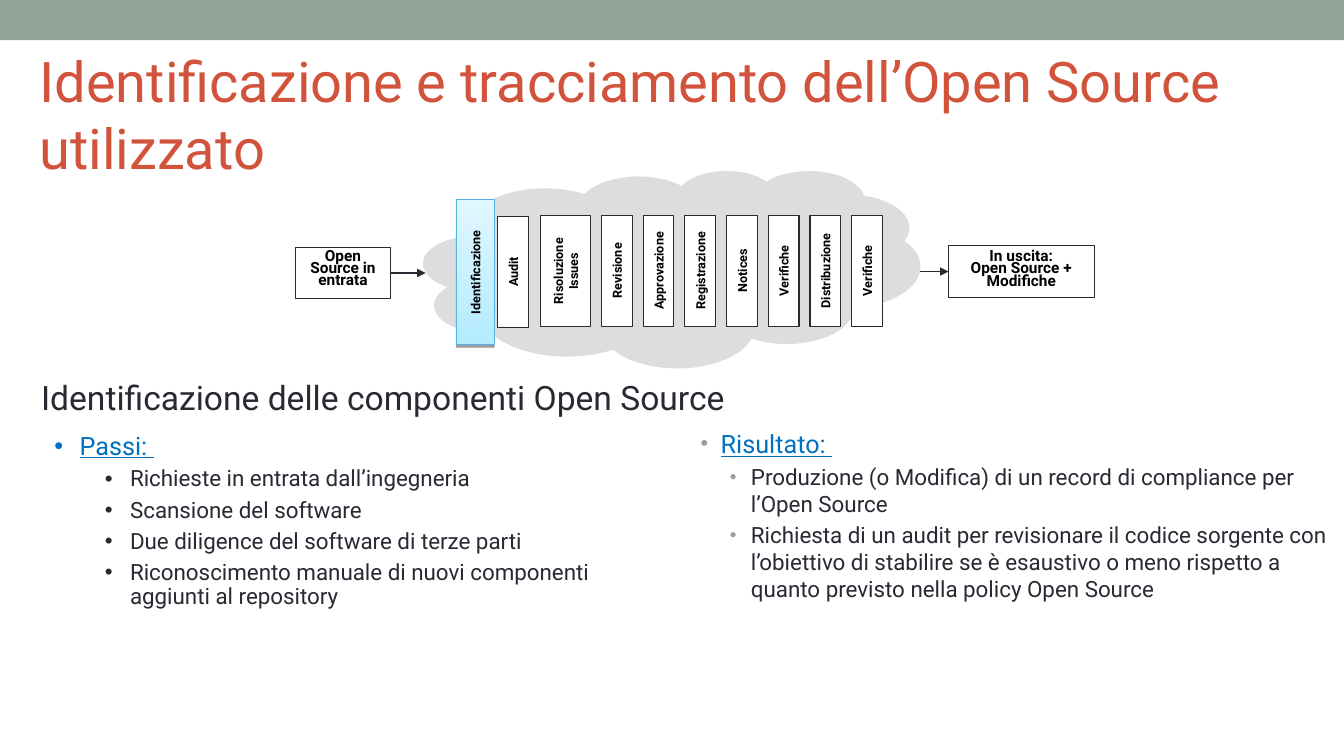
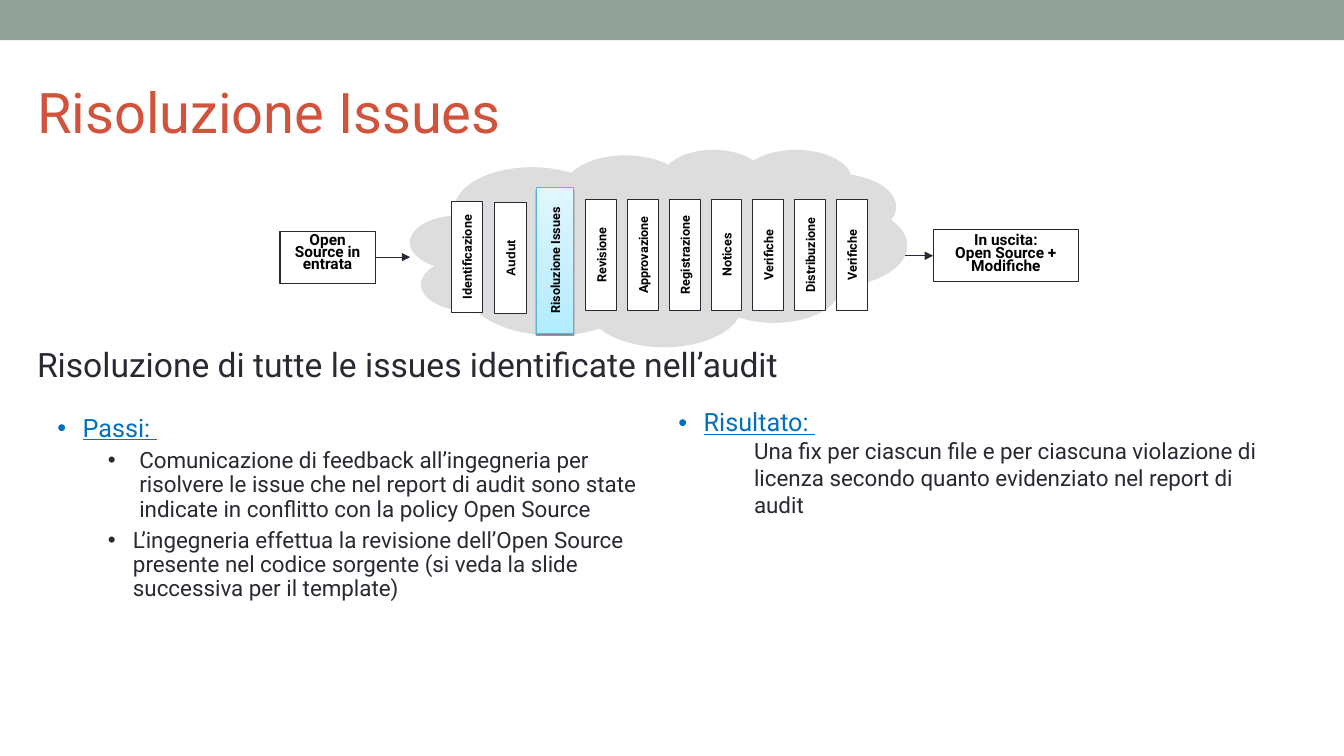
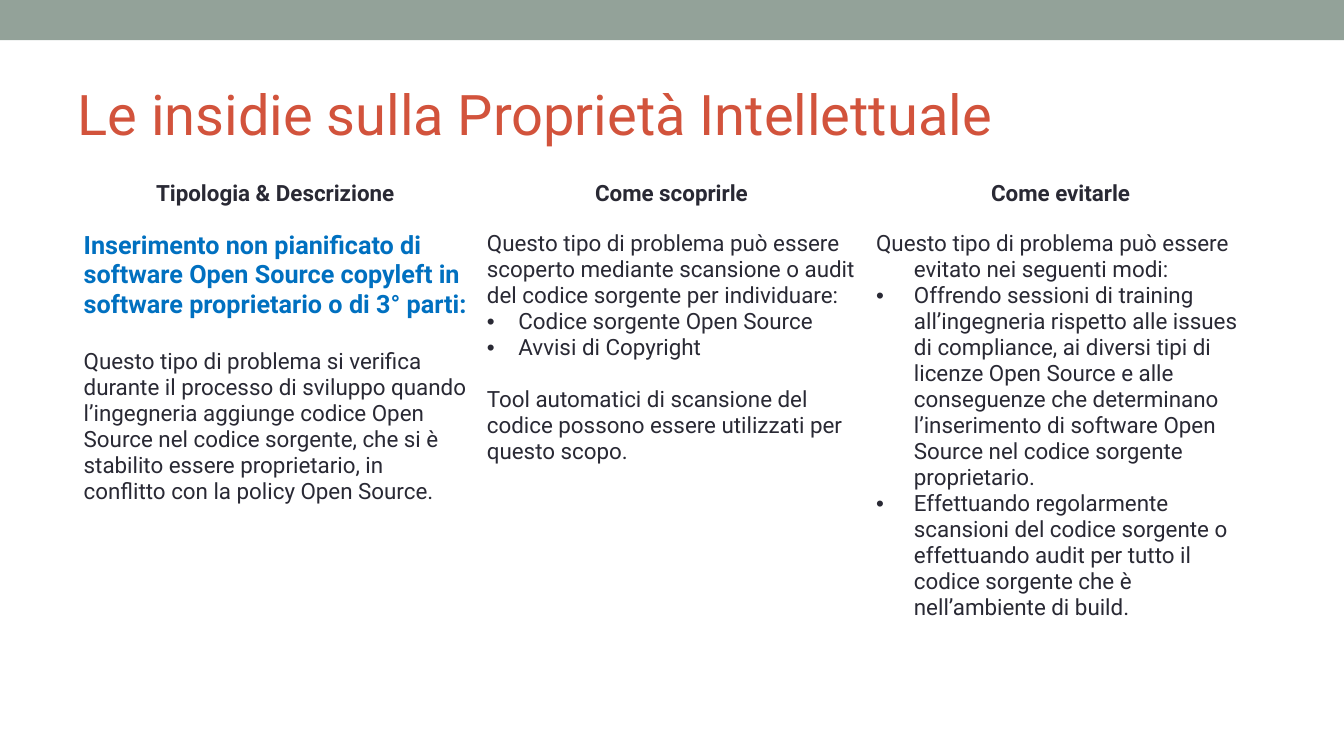
from lxml.etree import SubElement
from pptx import Presentation
from pptx.dml.color import RGBColor
from pptx.enum.shapes import MSO_CONNECTOR, MSO_SHAPE
from pptx.enum.text import MSO_ANCHOR, MSO_AUTO_SIZE, PP_ALIGN
from pptx.oxml.ns import qn
from pptx.util import Pt

COLORS = {
    "band": "93A299", "title": "D2533C", "ink": "292934", "accent": "0070C0",
    "black": "000000", "white": "FFFFFF", "cloud": "DDDDDD",
    "glow_dark": "B4EBFF", "glow_light": "E0F7FF", "glow_line": "55B4E5",
}
RGB = {name: RGBColor.from_string(value) for name, value in COLORS.items()}

LEFT = {"alignment": PP_ALIGN.LEFT, "space_before": Pt(0)}
CENTER = {"alignment": PP_ALIGN.CENTER}
TIGHT = {"space_before": Pt(0), "line_spacing": 0.9}
ITEM = {"level": 1, "space_before": Pt(5), "line_spacing": 0.9}
STYLES = {
    "title": {"size": 40, "color": "title", "para": LEFT},
    "subtitle": {"size": 24},
    "heading": {"size": 18, "color": "accent", "underline": True, "para": TIGHT,
                "indent": (18, -18), "bullet": ("accent", 100)},
    "item": {"para": ITEM, "indent": (54, -18), "bullet": ("ink", 100)},
    "wide item": {"para": ITEM, "indent": (58.5, -22.5), "bullet": ("ink", 100)},
    "plain item": {"para": LEFT, "indent": (54, 0)},
    "grey heading": {"size": 18, "color": "accent", "underline": True, "para": LEFT,
                     "indent": (14.4, -14.4), "bullet": ("band", 85)},
    "grey item": {"para": {"level": 1, "space_before": Pt(3.2)},
                  "indent": (36, -15), "bullet": ("band", 85)},
    "step": {"size": 9, "color": "black", "bold": True, "para": CENTER},
    "arial step": {"size": 9, "color": "black", "bold": True, "para": CENTER, "name": "Arial"},
    "input": {"size": 11, "color": "black", "bold": True,
              "para": {**CENTER, "line_spacing": 0.65}},
    "output": {"size": 11, "color": "black", "bold": True,
               "para": {**CENTER, "line_spacing": 0.7}},
    "column": {"bold": True, "para": CENTER},
    "risk": {"size": 18, "color": "accent", "bold": True},
    "text": {},
    "text after risk": {"para": {"space_before": Pt(21)}},
    "text after list": {"para": {"space_before": Pt(18.75)}},
    "hanging text": {"indent": (27, -27)},
    "near bullet": {"indent": (22.5, -22.5), "bullet": ("ink", 100)},
    "far bullet": {"indent": (27, -27), "bullet": ("ink", 100)},
}


def write(frame, lines, anchor=MSO_ANCHOR.TOP):
    frame.word_wrap = True
    frame.auto_size = MSO_AUTO_SIZE.NONE
    frame.vertical_anchor = anchor
    for number, (text, style_name) in enumerate(lines):
        style = STYLES[style_name]
        para = frame.add_paragraph() if number else frame.paragraphs[0]
        for name, value in style.get("para", {}).items():
            setattr(para, name, value)
        span = para.add_run()
        span.text = text
        properties = para._p.get_or_add_pPr()
        if "indent" in style:
            for name, value in zip(("marL", "indent"), style["indent"]):
                properties.set(name, str(int(Pt(value))))
            if "bullet" in style:
                color, percent = style["bullet"]
                holder = SubElement(properties, qn("a:buClr"))
                SubElement(holder, qn("a:srgbClr"), val=COLORS[color])
                SubElement(properties, qn("a:buSzPct"), val=str(percent * 1000))
                SubElement(properties, qn("a:buFont"), typeface="Arial")
                SubElement(properties, qn("a:buChar"), char="•")
            else:
                SubElement(properties, qn("a:buNone"))
        font = {"name": "Roboto", "size": 16, "bold": False, "underline": False}
        font.update({name: style[name] for name in font if name in style})
        font["size"] = Pt(font["size"])
        for name, value in font.items():
            setattr(span.font, name, value)
        span.font.color.rgb = RGB[style.get("color", "ink")]


def add_box(page, kind, place, fill=None, line=None):
    box = page.shapes.add_shape(kind, *map(Pt, place))
    box.shadow.inherit = False
    if fill:
        box.fill.solid()
        box.fill.fore_color.rgb = RGB[fill]
    else:
        box.fill.background()
    if line:
        box.line.color.rgb = RGB[line]
        box.line.width = Pt(0.75)
    else:
        box.line.fill.background()
    return box


LATER_STEPS = ["Revisione", "Approvazione", "Registrazione", "Notices",
               "Verifiche", "Distribuzione", "Verifiche"]
STEP_PITCH = 29.8
STEP_LENGTH = 79
PANEL_LENGTH = 104

PROCESS_PAGES = [
    {
        "title": "Identificazione e tracciamento dell’Open Source utilizzato",
        "title_place": (21, 42, 864, 78),
        "subtitle": "Identificazione delle componenti Open Source",
        "subtitle_place": (22.3, 265.7, 596, 38),
        "shift": (0, 0),
        "cloud": (302.4, 121.7),
        "highlight": "Identificazione",
        "steps": [("Identificazione", 339.5, 194.4, 27, "step"),
                  ("Audit", 366.5, 194.2, 22, "step"),
                  ("Risoluzione Issues", 404, 193.7, 36, "step")],
        "lists": [
            ((31.7, 306, 433.4, 206), [
                ("Passi: ", "heading"),
                ("Richieste in entrata dall’ingegneria", "item"),
                ("Scansione del software", "item"),
                ("Due diligence del software di terze parti", "item"),
                ("Riconoscimento manuale di nuovi componenti aggiunti al repository", "item")]),
            ((493.2, 302.4, 466.6, 181.4), [
                ("Risultato: ", "grey heading"),
                ("Produzione (o Modifica) di un record di compliance per l’Open Source", "grey item"),
                ("Richiesta di un audit per revisionare il codice sorgente con l’obiettivo di "
                 "stabilire se è esaustivo o meno rispetto a quanto previsto nella policy "
                 "Open Source", "grey item")]),
        ],
    },
    {
        "title": "Risoluzione Issues",
        "title_place": (19.4, 40.3, 864, 78),
        "subtitle": "Risoluzione di tutte le issues identificate nell’audit",
        "subtitle_place": (19.4, 242, 703, 36),
        "shift": (-11, -11.3),
        "cloud": (293, 106.6),
        "highlight": "Risoluzione Issues",
        "steps": [("Identificazione", 333.5, 183.6, 22, "step"),
                  ("Audut", 364.5, 184.3, 23, "arial step"),
                  ("Risoluzione Issues", 396.5, 186, 27, "step")],
        "lists": [
            ((33.8, 293, 435.6, 206), [
                ("Passi: ", "heading"),
                ("Comunicazione di feedback all’ingegneria per risolvere le issue che nel report "
                 "di audit sono state indicate in conflitto con la policy Open Source", "wide item"),
                ("L’ingegneria effettua la revisione dell’Open Source presente nel codice sorgente "
                 "(si veda la slide successiva per il template)", "item")]),
            ((477.4, 289.4, 433.4, 181.4), [
                ("Risultato: ", "heading"),
                ("Una fix per ciascun file e per ciascuna violazione di licenza secondo quanto "
                 "evidenziato nel report di audit", "plain item")]),
        ],
    },
]

PITFALLS_TITLE = "Le insidie sulla Proprietà Intellettuale"
PITFALLS = [
    (288, "Tipologia & Descrizione", [
        ("Inserimento non pianificato di software Open Source copyleft in software "
         "proprietario o di 3° parti:", "risk"),
        ("Questo tipo di problema si verifica durante il processo di sviluppo quando "
         "l’ingegneria aggiunge codice Open Source nel codice sorgente, che si è stabilito "
         "essere proprietario, in conflitto con la policy Open Source.", "text after risk")]),
    (278, "Come scoprirle", [
        ("Questo tipo di problema può essere scoperto mediante scansione o audit del codice "
         "sorgente per individuare:", "text"),
        ("Codice sorgente Open Source", "near bullet"),
        ("Avvisi di Copyright", "near bullet"),
        ("Tool automatici di scansione del codice possono essere utilizzati per questo scopo.",
         "text after list")]),
    (278, "Come evitarle", [
        ("Questo tipo di problema può essere evitato nei seguenti modi:", "hanging text"),
        ("Offrendo sessioni di training all’ingegneria rispetto alle issues di compliance, ai "
         "diversi tipi di licenze Open Source e alle conseguenze che determinano l’inserimento "
         "di software Open Source nel codice sorgente proprietario.", "far bullet"),
        ("Effettuando regolarmente scansioni del codice sorgente o effettuando audit per tutto "
         "il codice sorgente che è nell’ambiente di build.", "far bullet")]),
]

deck = Presentation()
deck.slide_width, deck.slide_height = Pt(960), Pt(540)
two_lists, title_only = deck.slide_layouts[3], deck.slide_layouts[5]

for content in PROCESS_PAGES:
    page = deck.slides.add_slide(two_lists)
    filled = [(content["title_place"], [(content["title"], "title")])] + content["lists"]
    for holder, (place, lines) in zip(page.placeholders, filled):
        holder.left, holder.top, holder.width, holder.height = map(Pt, place)
        anchor = MSO_ANCHOR.MIDDLE if holder == page.shapes.title else MSO_ANCHOR.TOP
        write(holder.text_frame, lines, anchor)

    subtitle = page.shapes.add_textbox(*map(Pt, content["subtitle_place"]))
    write(subtitle.text_frame, [(content["subtitle"], "subtitle")])

    cloud = add_box(page, MSO_SHAPE.CLOUD_CALLOUT, (*content["cloud"], 355, 141), "cloud")
    cloud.adjustments[0], cloud.adjustments[1] = -0.246, 0.157

    right, down = content["shift"]
    later = [(label, 440.6 + right + STEP_PITCH * number, 193.4 + down, 22, "step")
             for number, label in enumerate(LATER_STEPS)]
    for label, center_x, center_y, thickness, style_name in content["steps"] + later:
        highlighted = label == content["highlight"]
        length = PANEL_LENGTH if highlighted else STEP_LENGTH
        if highlighted:
            panel = add_box(page, MSO_SHAPE.RECTANGLE,
                            (center_x - thickness / 2, center_y - length / 2, thickness, length),
                            "glow_dark", "glow_line")
            panel.fill.gradient()
            panel.fill.gradient_angle = 90
            for stop, color in zip(panel.fill.gradient_stops, ("glow_dark", "glow_light")):
                stop.color.rgb = RGB[color]
            effects = panel.element.spPr.find(qn("a:effectLst"))
            shade = SubElement(effects, qn("a:outerShdw"), dist=str(int(Pt(1.6))),
                               dir="5400000", rotWithShape="0")
            tone = SubElement(shade, qn("a:srgbClr"), val=COLORS["black"])
            SubElement(tone, qn("a:alpha"), val="38000")
        step = add_box(page, MSO_SHAPE.RECTANGLE,
                       (center_x - length / 2, center_y - thickness / 2, length, thickness),
                       None if highlighted else "white", None if highlighted else "ink")
        step.rotation = 270
        write(step.text_frame, [(label, style_name)], MSO_ANCHOR.MIDDLE)

    source = add_box(page, MSO_SHAPE.RECTANGLE, (211 + right, 176.5 + down, 68, 37),
                     "white", "ink")
    write(source.text_frame, [("Open", "input"), ("Source in entrata", "input")])
    result = add_box(page, MSO_SHAPE.RECTANGLE, (677.5 + right, 175.5 + down, 104, 37),
                     "white", "ink")
    write(result.text_frame, [("In uscita:", "output"), ("Open Source + Modifiche", "output")])

    for start, end, height in ((279, 304, 195), (657.5, 677.5, 194)):
        arrow = page.shapes.add_connector(
            MSO_CONNECTOR.STRAIGHT, Pt(start + right), Pt(height + down),
            Pt(end + right), Pt(height + down))
        if start == 279:
            arrow.begin_connect(source, 3)
        else:
            arrow.end_connect(result, 1)
        arrow.line.color.rgb = RGB["ink"]
        arrow.line.width = Pt(0.75)
        outline = arrow.element.spPr.find(qn("a:ln"))
        SubElement(outline, qn("a:tailEnd"), type="triangle")
        SubElement(arrow.element.spPr, qn("a:effectLst"))

page = deck.slides.add_slide(title_only)
title = page.shapes.title
title.left, title.top, title.width, title.height = map(Pt, (48.2, 42, 864, 78))
write(title.text_frame, [(PITFALLS_TITLE, "title")], MSO_ANCHOR.MIDDLE)

table = page.shapes.add_table(2, 3, Pt(52.6), Pt(125.3), Pt(844), Pt(366.5)).table
table.first_row = table.horz_banding = False
table.rows[0].height, table.rows[1].height = Pt(36), Pt(330.5)
for number, (width, heading, lines) in enumerate(PITFALLS):
    table.columns[number].width = Pt(width)
    for row, cell_lines in enumerate(([(heading, "column")], lines)):
        cell = table.cell(row, number)
        cell.fill.solid()
        cell.fill.fore_color.rgb = RGB["white"]
        write(cell.text_frame, cell_lines)

band = add_box(page, MSO_SHAPE.RECTANGLE, (0, 0, 960, 28.8), "band")
deck.slide_master.shapes.element.insert(2, band.element)

deck.save("out.pptx")
